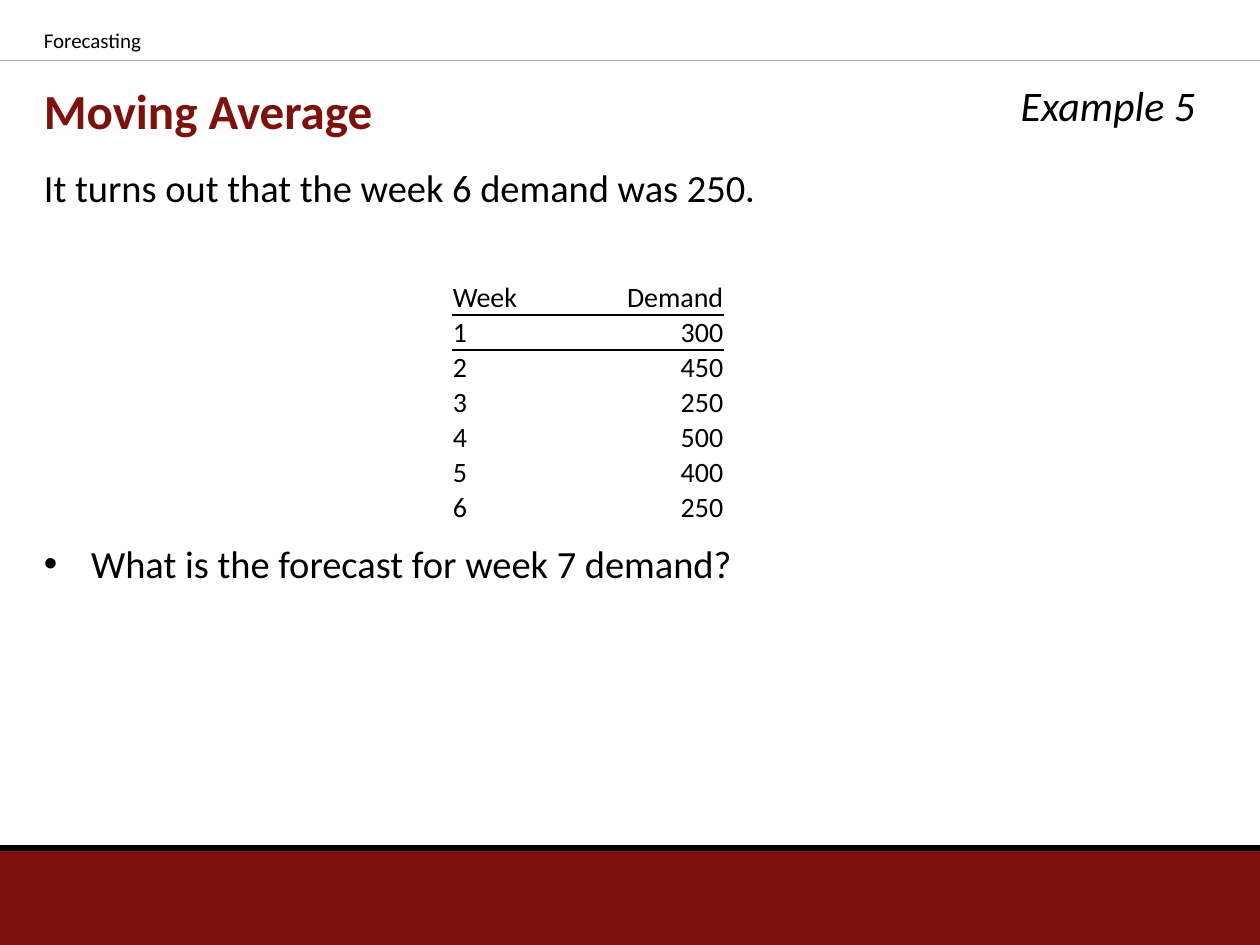
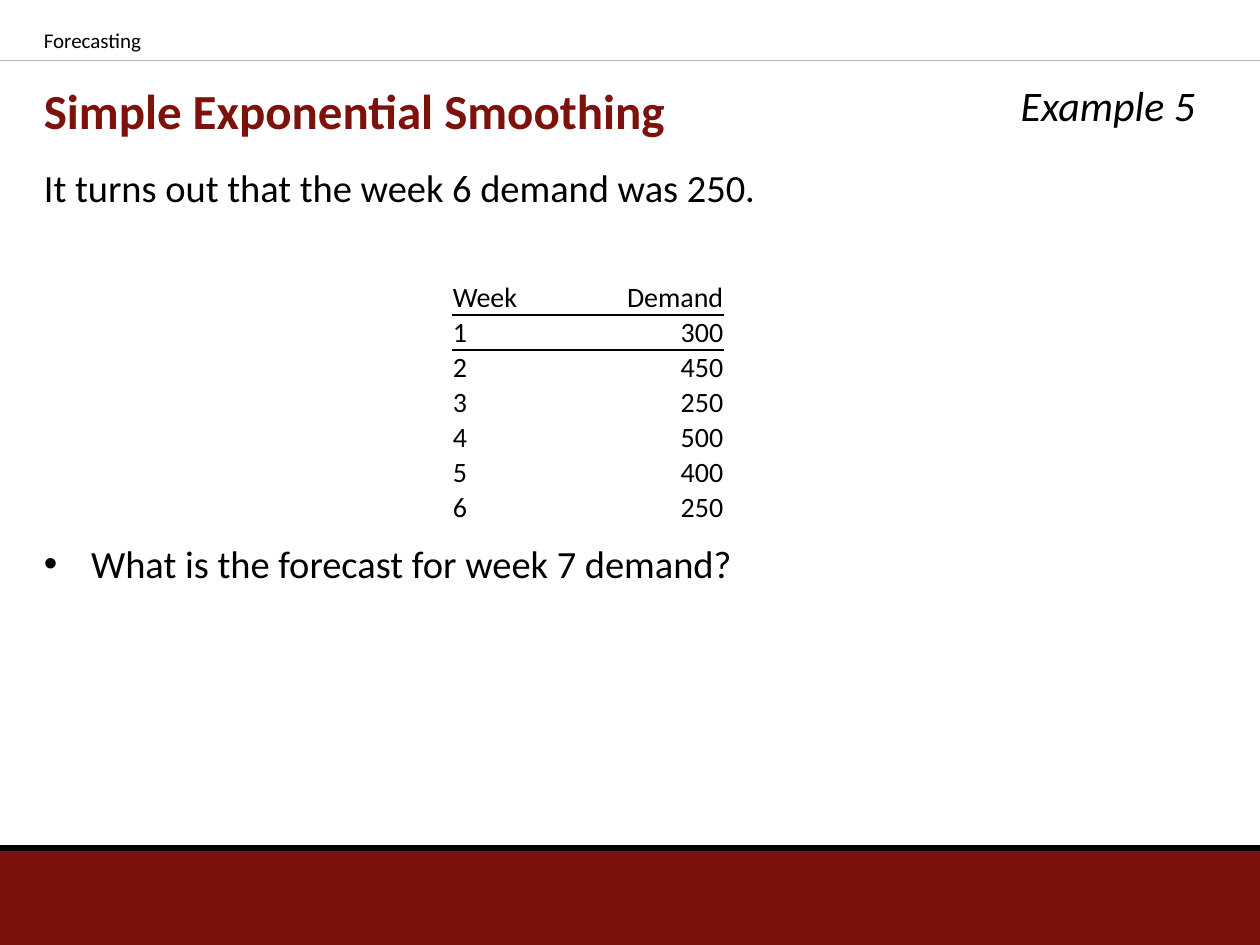
from dataclasses import dataclass

from lxml import etree
from pptx import Presentation
from pptx.dml.color import RGBColor
from pptx.enum.shapes import MSO_CONNECTOR, MSO_SHAPE
from pptx.enum.text import MSO_ANCHOR, PP_ALIGN
from pptx.oxml.ns import qn
from pptx.slide import Slide
from pptx.table import _Cell as Cell
from pptx.text.text import _Paragraph as Paragraph
from pptx.util import Pt

MAROON = RGBColor(0x7D, 0x11, 0x0C)
GREY = RGBColor(0xB0, 0xB2, 0xB4)
BLACK = RGBColor(0, 0, 0)
FONT = "Calibri"
WIDTH, HEIGHT = Pt(720), Pt(540)
LEFT, BODY_WIDTH = Pt(18), Pt(662)
NO_STYLE = "{2D5ABB26-0587-4C30-8999-92F81FD0307C}"
DEMAND = [300, 450, 250, 500, 400, 250]


@dataclass
class Style:
    size: int
    color: RGBColor = BLACK
    bold: bool = False
    italic: bool = False
    align: PP_ALIGN = PP_ALIGN.LEFT


@dataclass
class Label:
    left: Pt
    top: Pt
    width: Pt
    height: Pt
    style: Style
    anchor: MSO_ANCHOR = MSO_ANCHOR.TOP


@dataclass
class Rule:
    y: Pt
    color: RGBColor
    weight: Pt


TITLE = Label(LEFT, Pt(42), BODY_WIDTH, Pt(42), Style(28, MAROON, bold=True), MSO_ANCHOR.MIDDLE)
BODY = Label(LEFT, Pt(90), BODY_WIDTH, Pt(374), Style(22))
TOPIC = Label(LEFT, Pt(12), Pt(390), Pt(24), Style(12))
EXAMPLE = Label(Pt(528), Pt(42), Pt(162), Pt(36), Style(24, italic=True, align=PP_ALIGN.RIGHT))
RULES = [Rule(Pt(34.5), GREY, Pt(0.75)), Rule(Pt(484.5), BLACK, Pt(3.75))]


def write(p: Paragraph, text: str, style: Style) -> None:
    p.text = text
    p.alignment = style.align
    p.font.name = FONT
    p.font.size = Pt(style.size)
    p.font.bold = style.bold
    p.font.italic = style.italic
    p.font.color.rgb = style.color


def add_label(s: Slide, label: Label, *texts: str) -> list[Paragraph]:
    tf = s.shapes.add_textbox(label.left, label.top, label.width, label.height).text_frame
    tf.word_wrap = True
    tf.vertical_anchor = label.anchor
    for _ in texts[1:]:
        tf.add_paragraph()
    for p, text in zip(tf.paragraphs, texts):
        write(p, text, label.style)
    return list(tf.paragraphs)


def add_bullet(p: Paragraph, indent: Pt) -> None:
    pPr = p._p.get_or_add_pPr()
    pPr.set("marL", str(indent))
    pPr.set("indent", str(-indent))
    bullet_font = etree.Element(qn("a:buFont"), typeface="Arial")
    bullet = etree.Element(qn("a:buChar"), char="•")
    defaults = pPr.find(qn("a:defRPr"))
    defaults.addprevious(bullet_font)
    defaults.addprevious(bullet)


def add_frame(s: Slide) -> None:
    band = s.shapes.add_shape(MSO_SHAPE.RECTANGLE, 0, Pt(486), WIDTH, Pt(54))
    band.shadow.inherit = False
    band.fill.solid()
    band.fill.fore_color.rgb = MAROON
    band.line.fill.background()
    for rule in RULES:
        line = s.shapes.add_connector(MSO_CONNECTOR.STRAIGHT, 0, rule.y, WIDTH, rule.y)
        line.line.color.rgb = rule.color
        line.line.width = rule.weight
        etree.SubElement(line._element.spPr, qn("a:effectLst"))


def add_border(cell: Cell, edge: str) -> None:
    border = etree.Element(qn(f"a:{edge}"), w=str(Pt(1)))
    fill = etree.SubElement(border, qn("a:solidFill"))
    etree.SubElement(fill, qn("a:srgbClr"), val=str(BLACK))
    cell._tc.get_or_add_tcPr().insert(0, border)


def add_demand_table(s: Slide) -> None:
    rows = [("Week", "Demand"), *((str(week), str(n)) for week, n in enumerate(DEMAND, 1))]
    table = s.shapes.add_table(len(rows), 2, Pt(258), Pt(144), Pt(156), Pt(153)).table
    table._tbl.tblPr.find(qn("a:tableStyleId")).text = NO_STYLE
    table.horz_banding = False
    for i, row in enumerate(rows):
        table.rows[i].height = Pt(19.5) if i else Pt(36)
        for j, text in enumerate(row):
            cell = table.cell(i, j)
            cell.margin_left = cell.margin_right = cell.margin_top = Pt(0.75)
            cell.margin_bottom = 0
            cell.vertical_anchor = MSO_ANCHOR.BOTTOM
            cell.fill.background()
            align = PP_ALIGN.RIGHT if j else PP_ALIGN.LEFT
            write(cell.text_frame.paragraphs[0], text, Style(16, align=align))
            if i < 2:
                add_border(cell, "lnT" if i else "lnB")


def add_example_slide(prs: Presentation, title: str) -> None:
    s = prs.slides.add_slide(prs.slide_layouts[6])
    add_frame(s)
    add_label(s, TITLE, title)
    _, question = add_label(
        s, BODY, "It turns out that the week 6 demand was 250.", "What is the forecast for week 7 demand?"
    )
    question.space_before = Pt(188.5)
    add_bullet(question, Pt(27))
    add_label(s, TOPIC, "Forecasting")
    add_label(s, EXAMPLE, "Example 5")
    add_demand_table(s)


def main() -> None:
    prs = Presentation()
    prs.slide_width, prs.slide_height = WIDTH, HEIGHT
    for title in ("Moving Average", "Simple Exponential Smoothing"):
        add_example_slide(prs, title)
    prs.save("out.pptx")


if __name__ == "__main__":
    main()
